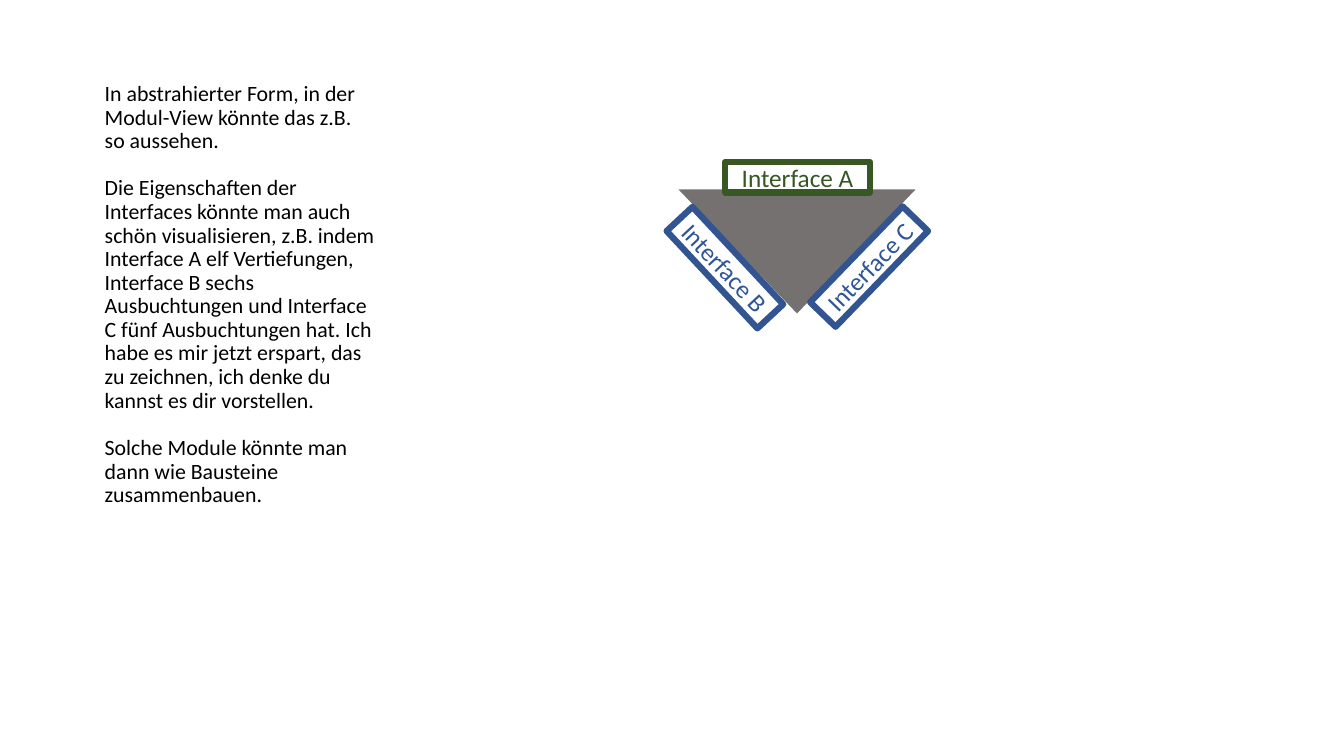
import pptx
import pptx.util
from pptx.dml.color import RGBColor
from pptx.enum.shapes import MSO_SHAPE
from pptx.enum.text import MSO_ANCHOR, PP_ALIGN

PX = 9144  # EMU per px, 100 px to the inch
FONT = "Calibri"
BLACK = RGBColor(0x00, 0x00, 0x00)
GRAY = RGBColor(0x76, 0x71, 0x71)
BLUE_LINE = RGBColor(0x32, 0x54, 0x91)
BLUE_TEXT = RGBColor(0x2F, 0x55, 0x97)
GREEN_LINE = RGBColor(0x38, 0x57, 0x23)
GREEN_TEXT = RGBColor(0x37, 0x56, 0x23)

EXPLANATION = [
    "In abstrahierter Form, in der Modul-View könnte das z.B. so aussehen.",
    "Die Eigenschaften der Interfaces könnte man auch schön visualisieren, "
    "z.B. indem Interface A elf Vertiefungen, Interface B sechs Ausbuchtungen "
    "und Interface C fünf Ausbuchtungen hat. Ich habe es mir jetzt erspart, "
    "das zu zeichnen, ich denke du kannst es dir vorstellen.",
    "Solche Module könnte man dann wie Bausteine zusammenbauen.",
]

# Label, box in px, rotation, line colour, text colour
INTERFACES = [
    ("Interface B", (653, 248, 132, 35), 47, BLUE_LINE, BLUE_TEXT),
    ("Interface A", (719, 161, 144, 30), 0, GREEN_LINE, GREEN_TEXT),
    ("Interface C", (796, 247, 132, 35), 314, BLUE_LINE, BLUE_TEXT),
]


def emu(box):
    return [pptx.util.Emu(length * PX) for length in box]


def add_run(paragraph, text, size, color):
    run = paragraph.add_run()
    run.text = text
    run.font.name = FONT
    run.font.size = pptx.util.Pt(size)
    run.font.color.rgb = color


def add_explanation(slide, box, texts):
    frame = slide.shapes.add_textbox(*emu(box)).text_frame
    frame.word_wrap = True
    for index, text in enumerate(texts):
        paragraph = frame.add_paragraph() if index else frame.paragraphs[0]
        paragraph.line_spacing = 0.9
        if index:
            paragraph.space_before = pptx.util.Pt(17)
        add_run(paragraph, text, 15.6, BLACK)


def add_module(slide, box):
    module = slide.shapes.add_shape(MSO_SHAPE.ISOSCELES_TRIANGLE, *emu(box))
    module.rotation = 180
    module.shadow.inherit = False
    module.fill.solid()
    module.fill.fore_color.rgb = GRAY
    module.line.fill.background()


def add_interface(slide, label, box, rotation, line_color, text_color):
    interface = slide.shapes.add_shape(MSO_SHAPE.FLOWCHART_PROCESS, *emu(box))
    interface.rotation = rotation
    interface.shadow.inherit = False
    interface.fill.background()
    interface.line.color.rgb = line_color
    interface.line.width = pptx.util.Pt(4.5)
    frame = interface.text_frame
    frame.margin_left = frame.margin_right = 0
    frame.margin_top = frame.margin_bottom = 0
    frame.vertical_anchor = MSO_ANCHOR.MIDDLE
    paragraph = frame.paragraphs[0]
    paragraph.alignment = PP_ALIGN.CENTER
    add_run(paragraph, label, 18, text_color)


def main():
    deck = pptx.Presentation()
    deck.slide_width, deck.slide_height = emu((1333, 750))
    slide = deck.slides.add_slide(deck.slide_layouts[6])

    # Module triangle
    add_module(slide, (673, 188, 235, 123))

    # Explanation on the left
    add_explanation(slide, (94, 77, 288, 519), EXPLANATION)

    # Interfaces along the three sides
    for interface in INTERFACES:
        add_interface(slide, *interface)

    deck.save("out.pptx")


if __name__ == "__main__":
    main()
